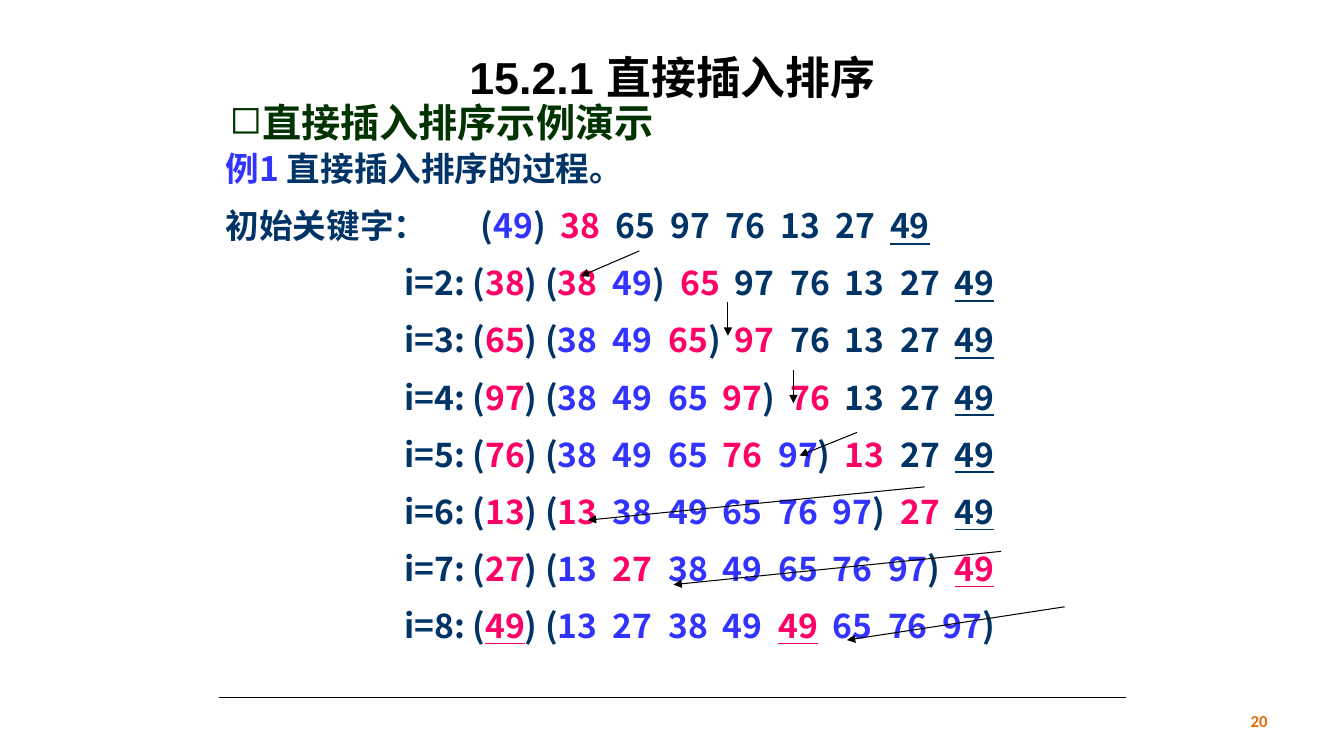
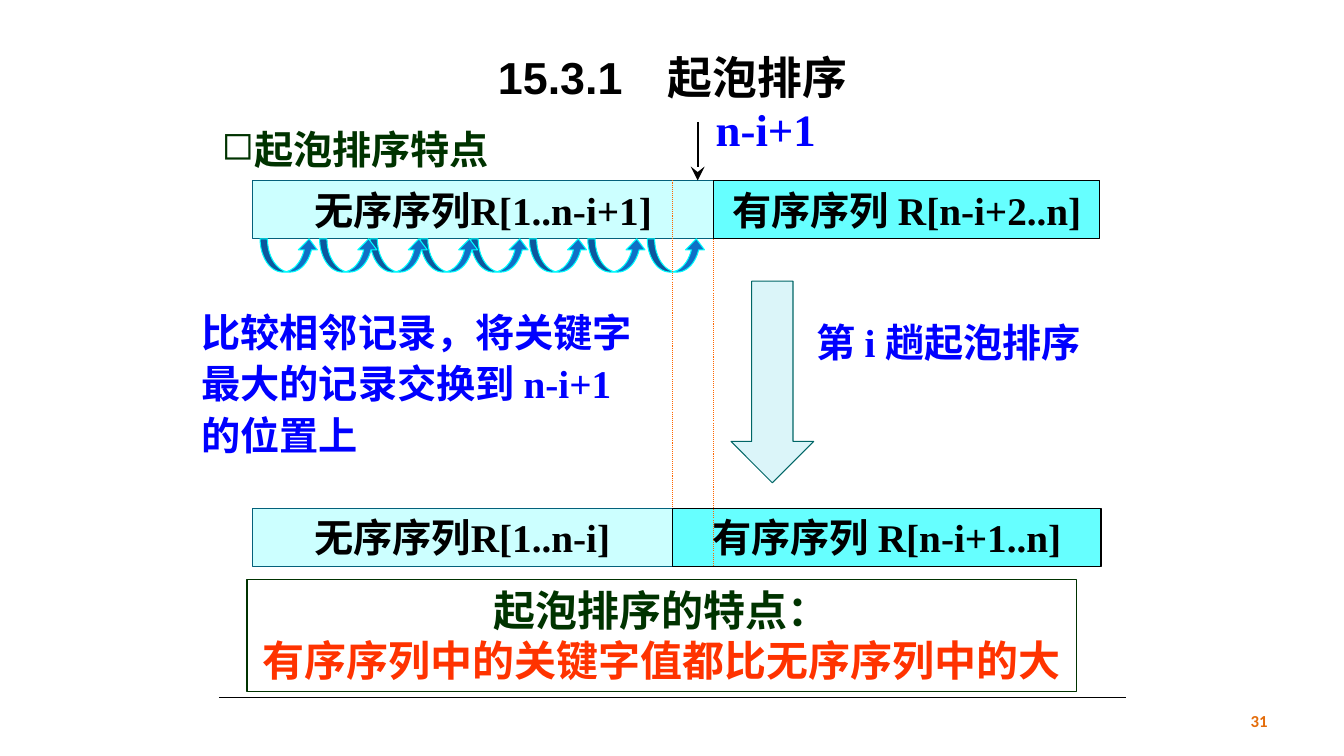
from dataclasses import dataclass
from typing import Optional

from lxml.etree import SubElement
from pptx import Presentation
from pptx.dml.color import RGBColor
from pptx.enum.dml import MSO_LINE
from pptx.enum.shapes import MSO_CONNECTOR, MSO_SHAPE
from pptx.enum.text import MSO_ANCHOR, PP_ALIGN
from pptx.oxml.ns import qn
from pptx.util import Emu, Pt

PX = 9144  # EMU per px, 100 px to the inch

BLACK = RGBColor(0x00, 0x00, 0x00)
GREEN = RGBColor(0x00, 0x33, 0x00)
NAVY = RGBColor(0x00, 0x33, 0x66)
VIOLET = RGBColor(0x33, 0x33, 0xFF)
PINK = RGBColor(0xFF, 0x00, 0x66)
BLUE = RGBColor(0x00, 0x00, 0xFF)
RED = RGBColor(0xFF, 0x33, 0x00)
ORANGE = RGBColor(0xE4, 0x6C, 0x0A)
GUIDE = RGBColor(0xFF, 0x66, 0x00)
PALE_CYAN = RGBColor(0xCC, 0xFF, 0xFF)
CYAN = RGBColor(0x66, 0xFF, 0xFF)
BRIGHT_CYAN = RGBColor(0x00, 0xFF, 0xFF)
TEAL = RGBColor(0x04, 0x61, 0x7B)
DARK_TEAL = RGBColor(0x00, 0x66, 0x66)
ICE = RGBColor(0xDB, 0xF5, 0xF9)
SWAP_BLUE = RGBColor(0x0F, 0x6F, 0xC6)

SANS, SERIF, CJK = "Arial", "Times New Roman", "Noto Sans CJK SC"


@dataclass
class Style:
    font: str
    size: int
    color: RGBColor
    east_asian: str = CJK


@dataclass
class Run:
    text: str
    color: RGBColor
    underline: bool = False


@dataclass
class Box:
    x: int
    y: int
    w: int
    h: int


@dataclass
class Line:
    x1: int
    y1: int
    x2: int
    y2: int


@dataclass
class Segment:
    text: str
    box: Box
    fill: RGBColor
    line: RGBColor


TITLE = Style(SANS, 32, BLACK, SANS)
NUMBER = Style("Calibri", 12, ORANGE)
HEADING = Style(SERIF, 28, GREEN)
SEGMENT = Style(SERIF, 28, BLACK)
NOTE = Style(SERIF, 28, BLUE)
INDEX = Style(SERIF, 32, BLUE)
TRACE = Style(CJK, 24, NAVY)
SUMMARY = Style(CJK, 30, GREEN)


# Text and shape helpers
def px(n: int) -> Emu:
    return Emu(n * PX)


def add_run(p, text: str, style: Style, color: Optional[RGBColor] = None,
            underline: bool = False) -> None:
    r = p.add_run()
    r.text = text
    values = {"name": style.font, "size": Pt(style.size), "bold": True, "underline": underline}
    for name, value in values.items():
        setattr(r.font, name, value)
    r.font.color.rgb = color or style.color
    SubElement(r._r.get_or_add_rPr(), qn("a:ea"), typeface=style.east_asian)


def add_text(s, box: Box, text: str, style: Style, wrap: bool = True,
             anchor=MSO_ANCHOR.TOP, **paragraph):
    sp = s.shapes.add_textbox(px(box.x), px(box.y), px(box.w), px(box.h))
    tf = sp.text_frame
    tf.word_wrap, tf.vertical_anchor = wrap, anchor
    p = tf.paragraphs[0]
    for name, value in paragraph.items():
        setattr(p, name, value)
    if text:
        add_run(p, text, style)
    return sp


def add_figure(s, kind, box: Box, fill: Optional[RGBColor], line: RGBColor):
    sp = s.shapes.add_shape(kind, px(box.x), px(box.y), px(box.w), px(box.h))
    sp.shadow.inherit = False
    if fill is None:
        sp.fill.background()
    else:
        sp.fill.solid()
        sp.fill.fore_color.rgb = fill
    sp.line.color.rgb = line
    sp.line.width = Pt(0.75)
    return sp


def add_line(s, line: Line, color: RGBColor = BLACK, width: float = 0.75,
             head: str = "", head_size: str = "med", dash=None) -> None:
    sp = s.shapes.add_connector(MSO_CONNECTOR.STRAIGHT, px(line.x1), px(line.y1),
                                px(line.x2), px(line.y2))
    sp.line.color.rgb = color
    sp.line.width = Pt(width)
    if dash:
        sp.line.dash_style = dash
    if head:
        SubElement(sp.line._get_or_add_ln(), qn("a:tailEnd"), type=head,
                   w=head_size, len=head_size)
    SubElement(sp._element.spPr, qn("a:effectLst"))


def add_heading(s, box: Box, text: str) -> None:
    sp = add_text(s, box, "", HEADING)
    p = sp.text_frame.paragraphs[0]
    pPr = p._p.get_or_add_pPr()
    pPr.set("marL", str(px(32)))
    pPr.set("indent", str(px(-32)))
    SubElement(pPr, qn("a:buChar"), char="◻")
    add_run(p, text, HEADING)


def new_slide(prs, title: str, number: int):
    s = prs.slides.add_slide(prs.slide_layouts[6])
    add_text(s, Box(217, 0, 900, 125), title, TITLE, anchor=MSO_ANCHOR.MIDDLE,
             alignment=PP_ALIGN.CENTER, line_spacing=1.5)
    add_text(s, Box(956, 695, 311, 40), str(number), NUMBER, anchor=MSO_ANCHOR.MIDDLE,
             alignment=PP_ALIGN.RIGHT)
    add_line(s, Line(217, 692, 1117, 692))
    return s


# Insertion sort: each row shows the sorted part in brackets, then the rest
KEYS = [49, 38, 65, 97, 76, 13, 27, 49]
TWIN = len(KEYS) - 1  # the second 49 is underlined
MOVES = [Line(634, 249, 576, 274), Line(722, 300, 722, 333), Line(787, 367, 787, 400),
         Line(850, 429, 793, 452), Line(917, 483, 583, 516), Line(993, 547, 668, 580),
         Line(1056, 602, 840, 635)]


def key_run(index: int, color: RGBColor) -> Run:
    return Run(str(KEYS[index]), color, index == TWIN)


def trace_row(i: int) -> tuple[list[Run], list[int]]:
    """Runs and tab stops after the first i keys are sorted."""
    order = sorted(range(i), key=lambda k: KEYS[k]) + list(range(i, len(KEYS)))
    if i == 1:
        start, first = 253, 266
        runs = [Run("初始关键字：\t(", NAVY)]
    else:
        start, first = 177, 330
        runs = [Run(f"\ti={i}: (", NAVY), key_run(i - 1, PINK), Run(") (", NAVY)]
    tabs = [start]
    for column, index in enumerate(order):
        if column:
            runs.append(Run("\t", NAVY))
            tabs.append(first + column * 109 // 2 + (12 if column >= i else 0))
        inserted = i > 1 and index == i - 1
        color = PINK if inserted or index == i else VIOLET if index < i else NAVY
        runs.append(key_run(index, color))
        if column == i - 1:
            runs.append(Run(")", NAVY))
    return runs, tabs


def insertion_slide(prs) -> None:
    s = new_slide(prs, "15.2.1 直接插入排序", 20)
    add_heading(s, Box(218, 93, 496, 57), "直接插入排序示例演示")
    sp = add_text(s, Box(214, 142, 908, 596), "", TRACE)
    tf = sp.text_frame
    add_run(tf.paragraphs[0], "例1 ", TRACE, VIOLET)
    add_run(tf.paragraphs[0], "直接插入排序的过程。", TRACE)
    for i in range(1, len(KEYS) + 1):
        runs, tabs = trace_row(i)
        p = tf.add_paragraph()
        p.space_before = Pt(12)
        tab_list = SubElement(p._p.get_or_add_pPr(), qn("a:tabLst"))
        for tab in tabs:
            SubElement(tab_list, qn("a:tab"), pos=str(px(tab)), algn="l")
        for run in runs:
            add_run(p, run.text, TRACE, run.color, run.underline)
    for move in MOVES:
        add_line(s, move, head="triangle")


# Bubble sort: the sequence before and after pass i
SEGMENTS = [
    Segment("无序序列R[1..n-i+1]", Box(250, 179, 458, 58), PALE_CYAN, TEAL),
    Segment("有序序列 R[n-i+2..n]", Box(708, 179, 383, 58), CYAN, BLACK),
    Segment("无序序列R[1..n-i]", Box(250, 504, 417, 58), PALE_CYAN, TEAL),
    Segment("有序序列 R[n-i+1..n]", Box(667, 504, 425, 58), CYAN, BLACK),
]
SWAP_LEFTS = [642, 583, 525, 467, 417, 367, 317, 258]
GUIDES = [Line(708, 237, 708, 562), Line(667, 179, 667, 504)]


def bubble_slide(prs) -> None:
    s = new_slide(prs, "15.3.1　起泡排序", 31)
    add_heading(s, Box(210, 119, 332, 57), "起泡排序特点")

    # Sequences
    for segment in SEGMENTS:
        sp = add_figure(s, MSO_SHAPE.RECTANGLE, segment.box, segment.fill, segment.line)
        tf = sp.text_frame
        tf.word_wrap, tf.vertical_anchor = False, MSO_ANCHOR.MIDDLE
        tf.paragraphs[0].alignment = PP_ALIGN.CENTER
        add_run(tf.paragraphs[0], segment.text, SEGMENT)

    # Position marker and explanations
    add_line(s, Line(692, 121, 692, 179), width=1.5, head="stealth", head_size="lg")
    add_text(s, Box(700, 96, 120, 64), "n-i+1", INDEX, wrap=False)
    add_figure(s, MSO_SHAPE.DOWN_ARROW, Box(725, 279, 82, 200), ICE, DARK_TEAL)
    add_text(s, Box(800, 304, 367, 64), "第 i 趟起泡排序", NOTE, line_spacing=1.15)
    add_text(s, Box(190, 296, 460, 166),
             "比较相邻记录，将关键字最大的记录交换到 n-i+1 的位置上", NOTE, line_spacing=1.1)

    # Neighbour swaps
    for left in SWAP_LEFTS:
        sp = add_figure(s, MSO_SHAPE.CURVED_UP_ARROW, Box(left, 237, 58, 33),
                        SWAP_BLUE, BRIGHT_CYAN)
        for n, value in enumerate((0.22, 0.57, 0.33)):
            sp.adjustments[n] = value
    for guide in GUIDES:
        add_line(s, guide, GUIDE, dash=MSO_LINE.ROUND_DOT)

    # Summary
    sp = add_figure(s, MSO_SHAPE.RECTANGLE, Box(245, 575, 823, 111), None, GREEN)
    tf = sp.text_frame
    tf.word_wrap, tf.vertical_anchor = False, MSO_ANCHOR.TOP
    lines = [("起泡排序的特点：", GREEN), ("有序序列中的关键字值都比无序序列中的大", RED)]
    for n, (text, color) in enumerate(lines):
        p = tf.add_paragraph() if n else tf.paragraphs[0]
        p.alignment = PP_ALIGN.CENTER
        add_run(p, text, SUMMARY, color)


def main() -> None:
    prs = Presentation()
    prs.slide_width, prs.slide_height = px(1333), px(750)
    insertion_slide(prs)
    bubble_slide(prs)
    prs.save("out.pptx")


if __name__ == "__main__":
    main()
